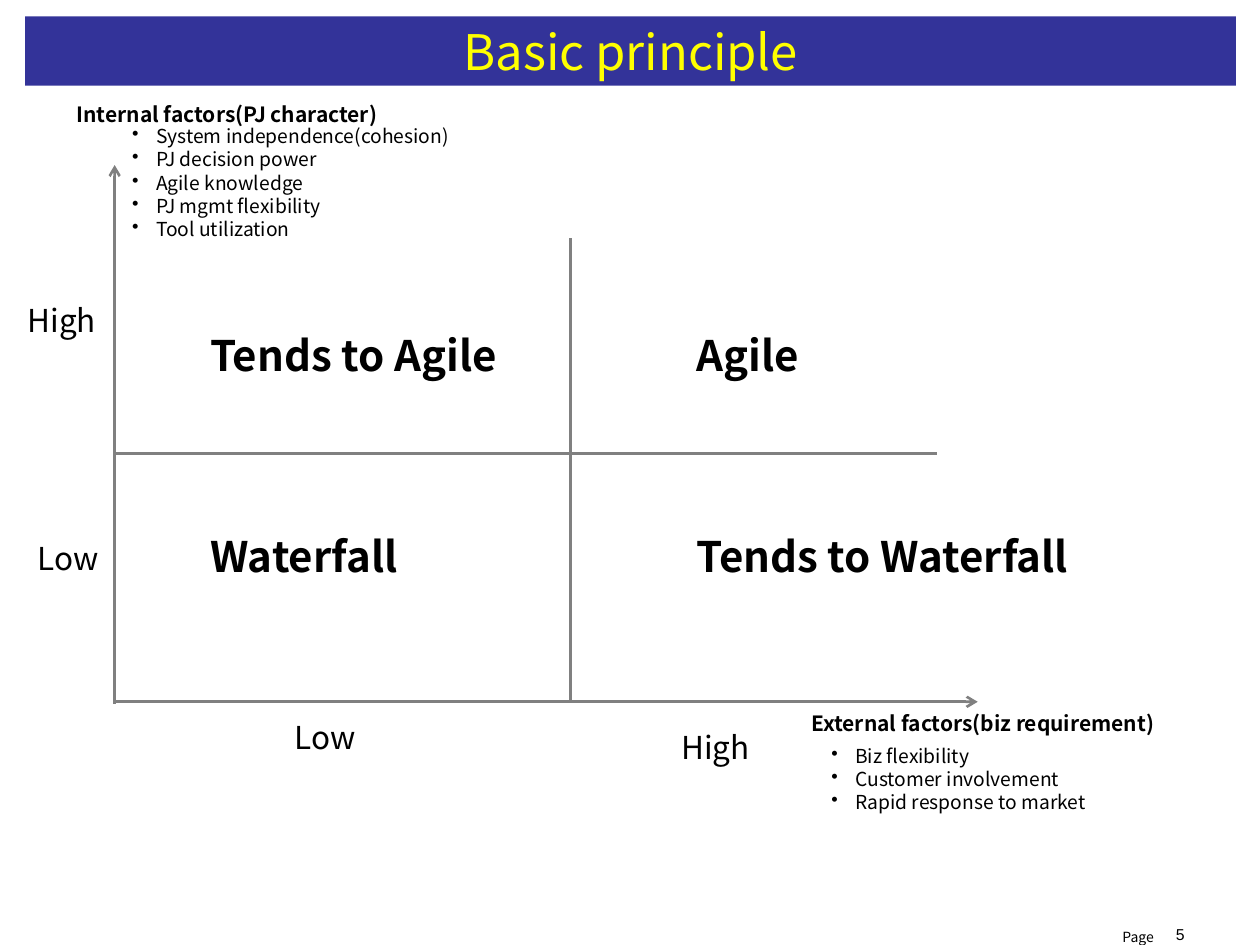
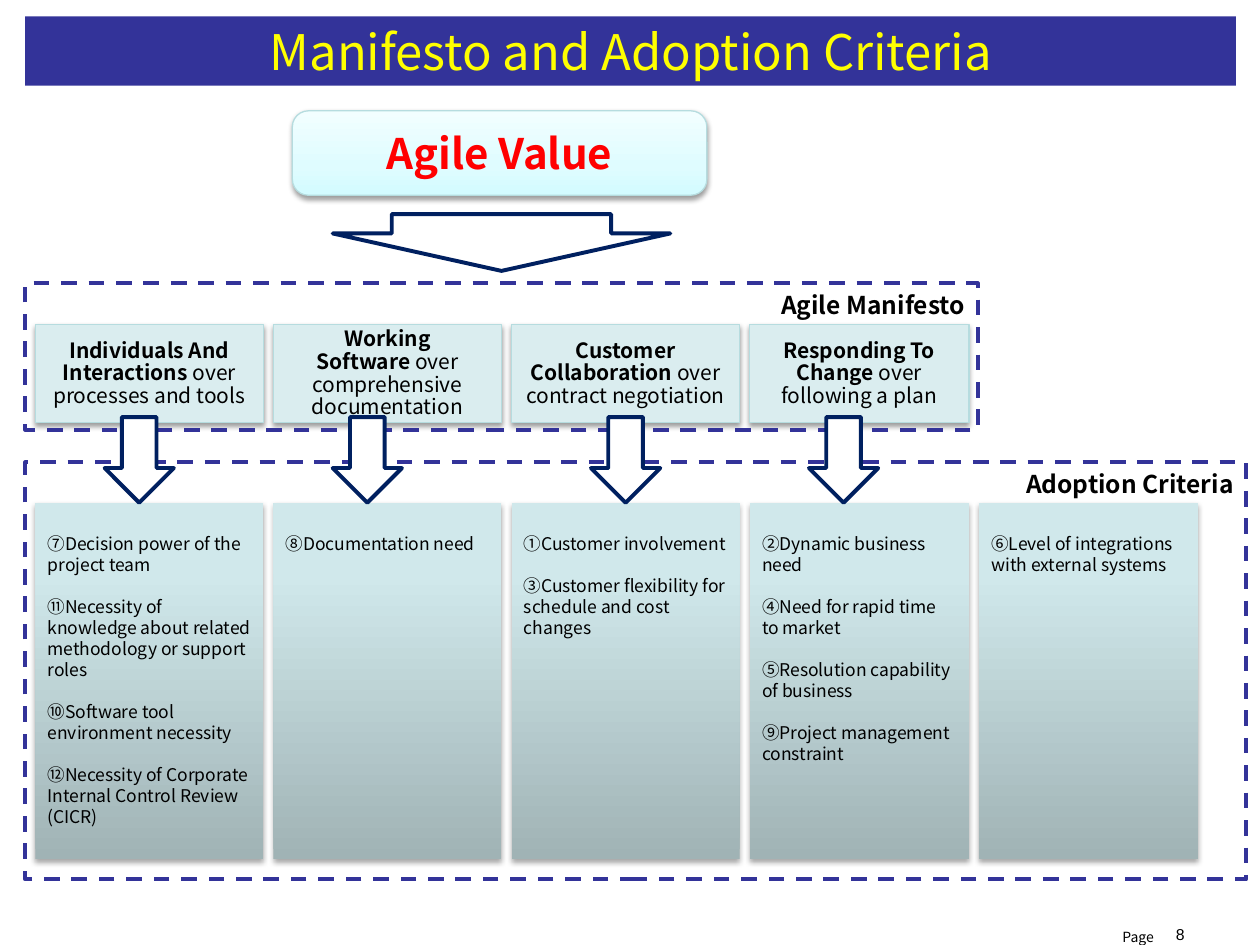
import dataclasses
import typing

import lxml.etree
import pptx
import pptx.dml.color
import pptx.enum.dml
import pptx.enum.shapes
import pptx.enum.text
import pptx.oxml.ns
import pptx.util

GRID_COLUMNS, GRID_ROWS = 100, 75
BODY_FONT, NUMBER_FONT = "Noto Sans CJK JP", "Arial"
NAVY, YELLOW, BLACK, WHITE = "333399", "FFFF00", "000000", "FFFFFF"
AXIS_GRAY, ARROW_BLUE, RED = "808080", "002060", "FF0000"
CARD_FILL, CARD_EDGE = "DAEDEF", "B6DCDF"
CRITERIA_GRADIENT = ((0, "A0B3B5"), (80, "D0E8EB"), (100, "D1EAEC"))
VALUE_GRADIENT = ((0, "D3FBFF"), (35, "DFFCFF"), (100, "F2FEFF"))
DEFAULT_INSETS = (1, 0.5, 1, 0.5)
NO_BREAK_SPACE = chr(160)
LEFT = pptx.enum.text.PP_ALIGN.LEFT
CENTER = pptx.enum.text.PP_ALIGN.CENTER
RIGHT = pptx.enum.text.PP_ALIGN.RIGHT
TOP = pptx.enum.text.MSO_ANCHOR.TOP
MIDDLE = pptx.enum.text.MSO_ANCHOR.MIDDLE
PRESET = pptx.enum.shapes.MSO_SHAPE
qn = pptx.oxml.ns.qn

deck = pptx.Presentation()
deck.slide_width = pptx.util.Inches(10)
deck.slide_height = pptx.util.Inches(7.5)


class Area(typing.NamedTuple):
    left: float
    top: float
    width: float
    height: float


class Run(typing.NamedTuple):
    text: str
    bold: bool = False


@dataclasses.dataclass(frozen=True)
class TextStyle:
    size: float
    color: str = BLACK
    font: str = BODY_FONT
    align: typing.Any = LEFT
    anchor: typing.Any = TOP
    insets: tuple = DEFAULT_INSETS
    leading: float = 1.2
    before: float = 0
    after: float = 0
    bullet: str = ""
    wrap: bool = True


@dataclasses.dataclass(frozen=True)
class Look:
    fill: typing.Any = None
    edge: str = ""
    weight: float = 0.75
    dashed: bool = False
    shadow: typing.Optional[tuple[int, float]] = None
    preset: typing.Any = PRESET.RECTANGLE
    adjustments: tuple = ()


class Axis(typing.NamedTuple):
    start: tuple[float, float]
    end: tuple[float, float]
    arrowhead: str = ""


class Label(typing.NamedTuple):
    area: Area
    style: TextStyle
    lines: tuple
    bold: bool = False


class Value(typing.NamedTuple):
    width: float
    criteria: tuple
    preferred: str = ""
    over: str = ""
    arrow_left: float = 0


TITLE = TextStyle(28, YELLOW, align=CENTER, anchor=MIDDLE)
PAGE_WORD = TextStyle(8, wrap=False)
PAGE_NUMBER = TextStyle(9, font=NUMBER_FONT, align=RIGHT)
HEADING = TextStyle(12)
FACTORS = TextStyle(11, bullet="•")
QUADRANT = TextStyle(24)
SCALE = TextStyle(18, wrap=False)
VALUE = TextStyle(24, RED, align=CENTER, anchor=MIDDLE)
GROUP = TextStyle(14, align=RIGHT)
MANIFESTO = TextStyle(12, align=CENTER, anchor=MIDDLE,
                      insets=(0.4,) * 4, leading=1.08, after=4)
CRITERIA = TextStyle(10, insets=(1, 2.4, 1, 0.5), before=12)

BAND = Look(NAVY)
CARD = Look(CARD_FILL, CARD_EDGE, shadow=(38, 1.6))
CRITERIA_CARD = Look(CRITERIA_GRADIENT, shadow=(35, 1.8))
VALUE_CARD = Look(VALUE_GRADIENT, CARD_EDGE, shadow=(38, 1.6),
                  preset=PRESET.ROUNDED_RECTANGLE, adjustments=(0.19,))
GROUP_FRAME = Look(edge=NAVY, weight=2.25, dashed=True)
ARROW = Look(WHITE, ARROW_BLUE, 2.25, preset=PRESET.DOWN_ARROW)
WIDE_ARROW = dataclasses.replace(ARROW, adjustments=(0.65, 0.66))


def across(columns: float) -> int:
    return round(deck.slide_width * columns / GRID_COLUMNS)


def down(rows: float) -> int:
    return round(deck.slide_height * rows / GRID_ROWS)


def place(area: Area) -> tuple[int, int, int, int]:
    return across(area.left), down(area.top), across(area.width), down(area.height)


def rgb(color: str) -> pptx.dml.color.RGBColor:
    return pptx.dml.color.RGBColor.from_string(color)


def write(shape, style: TextStyle, lines: typing.Iterable[typing.Sequence[Run]]) -> None:
    frame = shape.text_frame
    frame.word_wrap = style.wrap
    frame.vertical_anchor = style.anchor
    left, top, right, bottom = style.insets
    frame.margin_left, frame.margin_right = across(left), across(right)
    frame.margin_top, frame.margin_bottom = down(top), down(bottom)
    for index, runs in enumerate(lines):
        paragraph = frame.add_paragraph() if index else frame.paragraphs[0]
        paragraph.alignment = style.align
        paragraph.line_spacing = pptx.util.Pt(style.size * style.leading)
        paragraph.space_before = pptx.util.Pt(style.before if index else 0)
        paragraph.space_after = pptx.util.Pt(style.after)
        if style.bullet:
            properties = paragraph._p.get_or_add_pPr()
            properties.set("marL", str(across(1.9)))
            properties.set("indent", str(-across(1.9)))
            lxml.etree.SubElement(properties, qn("a:buChar"), char=style.bullet)
        for part in runs:
            run = paragraph.add_run()
            run.text = part.text
            run.font.size = pptx.util.Pt(style.size)
            run.font.bold = part.bold
            run.font.name = style.font
            run.font.color.rgb = rgb(style.color)
            lxml.etree.SubElement(run._r.get_or_add_rPr(), qn("a:ea"), typeface=style.font)


def add_label(slide, label: Label) -> None:
    box = slide.shapes.add_textbox(*place(label.area))
    write(box, label.style, [[Run(line, label.bold)] for line in label.lines])


def add_color(parent, color: str):
    return lxml.etree.SubElement(parent, qn("a:srgbClr"), val=color)


def fill_gradient(shape, stops: tuple) -> None:
    shape.fill.gradient()
    shape.fill.gradient_angle = 90
    stop_list = shape._element.spPr.find(".//" + qn("a:gsLst"))
    for stop in list(stop_list):
        stop_list.remove(stop)
    for position, color in stops:
        add_color(lxml.etree.SubElement(stop_list, qn("a:gs"), pos=str(position * 1000)), color)


def add_shadow(shape, opacity: int, distance: float) -> None:
    effects = shape._element.spPr.find(qn("a:effectLst"))
    shadow = lxml.etree.SubElement(
        effects, qn("a:outerShdw"), blurRad=str(pptx.util.Pt(3.1)),
        dist=str(pptx.util.Pt(distance)), dir="5400000", rotWithShape="0")
    lxml.etree.SubElement(add_color(shadow, BLACK), qn("a:alpha"), val=str(opacity * 1000))


def add_block(slide, area: Area, look: Look):
    shape = slide.shapes.add_shape(look.preset, *place(area))
    for index, amount in enumerate(look.adjustments):
        shape.adjustments[index] = amount
    if look.fill is None:
        shape.fill.background()
    elif isinstance(look.fill, str):
        shape.fill.solid()
        shape.fill.fore_color.rgb = rgb(look.fill)
    else:
        fill_gradient(shape, look.fill)
    if look.edge:
        shape.line.color.rgb = rgb(look.edge)
        shape.line.width = pptx.util.Pt(look.weight)
        if look.dashed:
            shape.line.dash_style = pptx.enum.dml.MSO_LINE.DASH
    else:
        shape.line.fill.background()
    shape.shadow.inherit = False
    if look.shadow:
        add_shadow(shape, *look.shadow)
    return shape


def add_axis(slide, axis: Axis) -> None:
    (x1, y1), (x2, y2) = axis.start, axis.end
    line = slide.shapes.add_connector(
        pptx.enum.shapes.MSO_CONNECTOR.STRAIGHT, across(x1), down(y1), across(x2), down(y2))
    line.line.color.rgb = rgb(AXIS_GRAY)
    line.line.width = pptx.util.Pt(1.5)
    properties = line._element.spPr
    if axis.arrowhead:
        lxml.etree.SubElement(properties.find(qn("a:ln")), qn(axis.arrowhead), type="arrow")
    lxml.etree.SubElement(properties, qn("a:effectLst"))


def start_slide(title: str, number: int):
    slide = deck.slides.add_slide(deck.slide_layouts[6])
    add_label(slide, Label(Area(89.4, 72.9, 5.6, 2.1), PAGE_NUMBER, (str(number),)))
    add_label(slide, Label(Area(88.1, 73.2, 5.4, 2.4), PAGE_WORD, ("Page",)))
    write(add_block(slide, Area(2, 1.3, 96.1, 5.5), BAND), TITLE, [[Run(title)]])
    return slide


def build_principle() -> None:
    slide = start_slide("Basic principle", 5)
    left, base = 9.1, 55.7
    for axis in (
        Axis((left, base), (77.6, base), "a:tailEnd"),
        Axis((left, 13.1), (left, base + 0.2), "a:headEnd"),
        Axis((left, 36), (74.4, 36)),
        Axis((45.3, 18.9), (45.3, base)),
    ):
        add_axis(slide, axis)
    for label in (
        Label(Area(63.4, 55.9, 34.6, 3), HEADING, ("External factors(biz requirement)",), True),
        Label(Area(5.1, 7.6, 33.1, 3), HEADING, ("Internal factors(PJ character)",), True),
        Label(Area(65, 58.6, 25.6, 6.6), FACTORS,
              ("Biz flexibility", "Customer involvement", "Rapid response to market")),
        Label(Area(9.5, 9.4, 33.4, 14), FACTORS,
              ("System independence(cohesion)", "PJ decision power", "Agile knowledge",
               "PJ mgmt flexibility", "Tool utilization")),
        Label(Area(1.2, 23.4, 7.6, 4), SCALE, ("High",)),
        Label(Area(53.1, 57.3, 7.6, 4), SCALE, ("High",)),
        Label(Area(22.4, 56.5, 7, 4), SCALE, ("Low",)),
        Label(Area(2, 42.3, 7, 4), SCALE, ("Low",)),
    ):
        add_label(slide, label)
    quadrants = (("Tends to Agile", "Agile"), ("Waterfall", "Tends to Waterfall"))
    for top, row in zip((25.7, 41.6), quadrants):
        for column, approach in zip((15.7, 54.3), row):
            add_label(slide, Label(Area(column, top, 34.3, 5), QUADRANT, (approach,), True))


def build_manifesto() -> None:
    slide = start_slide("Manifesto and Adoption Criteria", 8)
    values = (
        Value(18.1, ("⑦Decision power of the project team",
                     "⑪Necessity of knowledge about related methodology or support roles",
                     "⑩Software tool environment necessity",
                     "⑫Necessity of Corporate Internal Control Review (CICR)"),
              "Individuals And Interactions", "over processes and tools", 8.3),
        Value(18.1, ("⑧Documentation need",),
              "Working Software", "over comprehensive documentation", 26.4),
        Value(18.1, ("①Customer involvement",
                     "③Customer flexibility for schedule and cost changes"),
              "Customer Collaboration", "over contract negotiation", 46.9),
        Value(17.4, ("②Dynamic business need", "④Need for rapid time to market",
                     "⑤Resolution capability of business",
                     "⑨Project management constraint"),
              "Responding To Change", "over following a plan", 64.2),
        Value(17.4, ("⑥Level of integrations with external systems",)),
    )
    left, gap = 2.8, 0.8
    for value in values:
        criteria = add_block(slide, Area(left, 39.9, value.width, 28.3), CRITERIA_CARD)
        write(criteria, CRITERIA, [[Run(line)] for line in value.criteria])
        if value.preferred:
            card = add_block(slide, Area(left, 25.75, value.width, 7.8), CARD)
            write(card, MANIFESTO,
                  [[Run(value.preferred + NO_BREAK_SPACE, True), Run(value.over)]])
        left += value.width + gap
    agile_value = add_block(slide, Area(23.2, 8.8, 32.9, 6.7), VALUE_CARD)
    write(agile_value, VALUE, [[Run("Agile Value", True)]])
    for area, group in ((Area(2, 22.5, 75.6, 11.6), "Agile Manifesto"),
                        (Area(2, 36.7, 96.9, 33.1), "Adoption Criteria")):
        write(add_block(slide, area, GROUP_FRAME), GROUP, [[Run(group, True)]])
    for value in values:
        if value.arrow_left:
            add_block(slide, Area(value.arrow_left, 33.1, 5.5, 6.8), ARROW)
    add_block(slide, Area(26.4, 17, 26.8, 4.5), WIDE_ARROW)


def main() -> None:
    build_principle()
    build_manifesto()
    deck.save("out.pptx")


if __name__ == "__main__":
    main()
